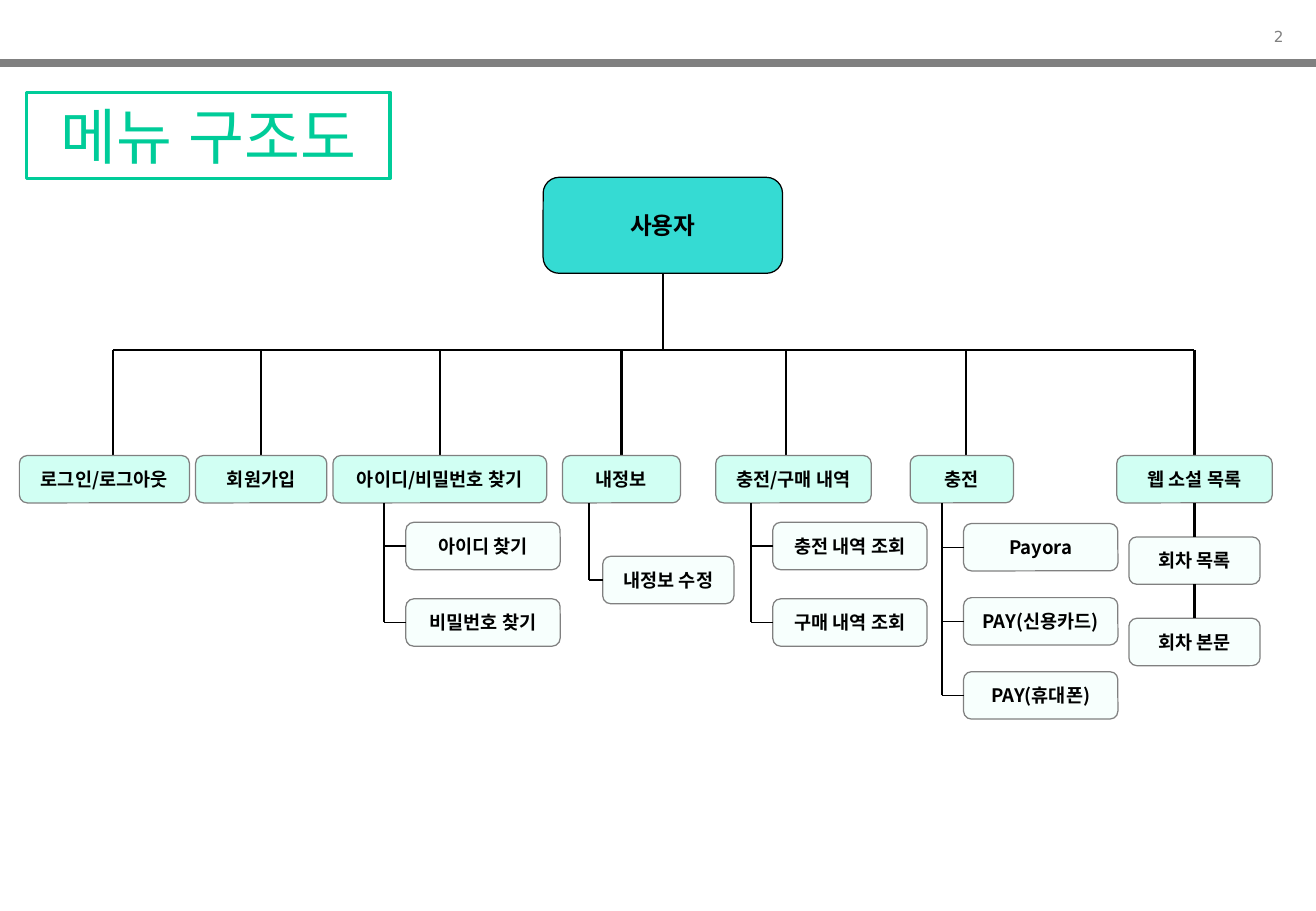
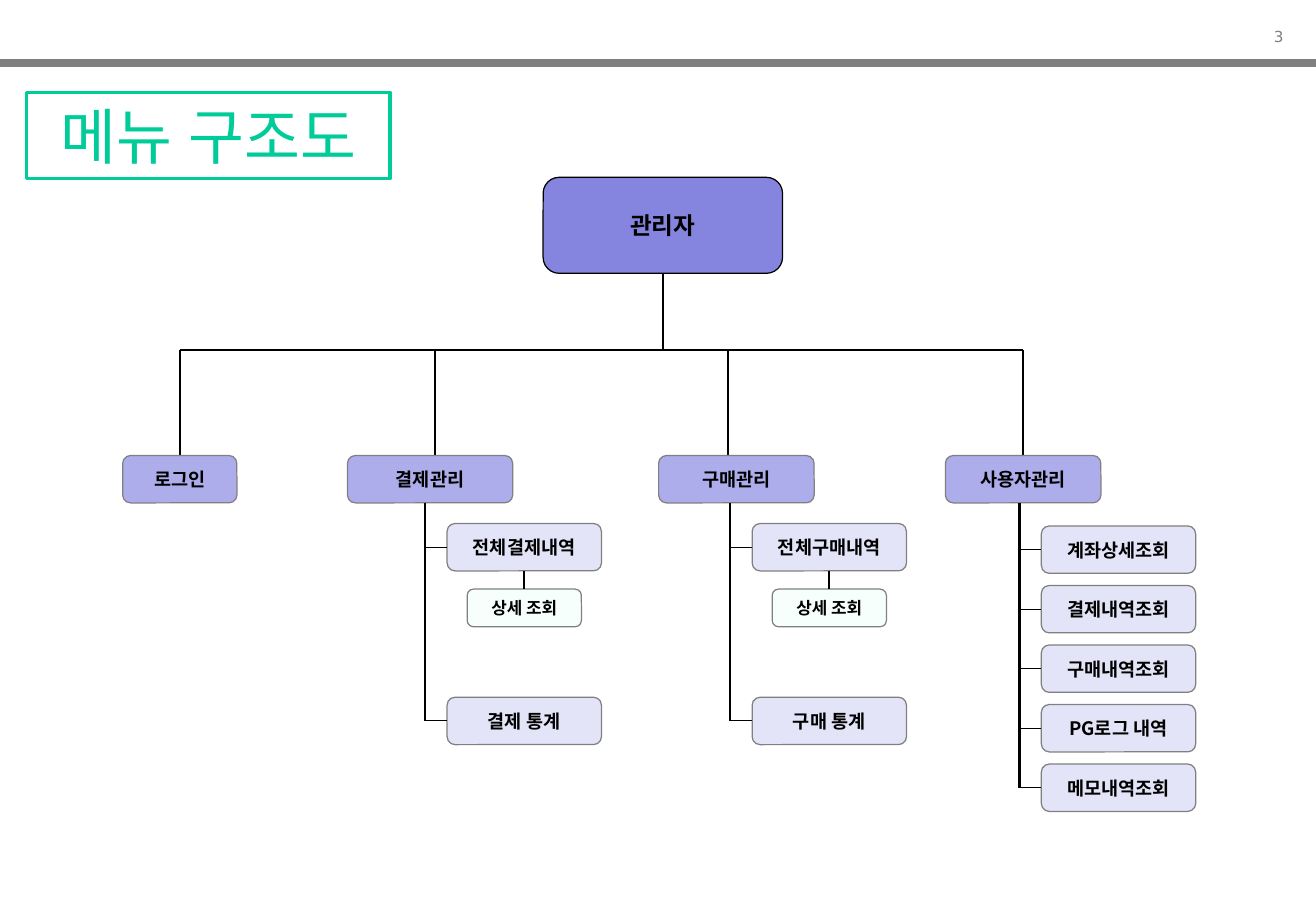
from dataclasses import dataclass
from typing import Optional

from lxml.etree import SubElement
from pptx import Presentation
from pptx.dml.color import RGBColor
from pptx.enum.shapes import MSO_CONNECTOR, MSO_SHAPE
from pptx.enum.text import MSO_ANCHOR, PP_ALIGN
from pptx.oxml.ns import qn
from pptx.shapes.autoshape import Shape
from pptx.shapes.connector import Connector
from pptx.slide import Slide
from pptx.text.text import TextFrame
from pptx.util import Inches, Pt


@dataclass(frozen=True)
class TextStyle:
    size: float
    font: str
    color: str
    bold: bool = False


@dataclass(frozen=True)
class Theme:
    ink: str = "000000"
    gray: str = "808080"
    paper: str = "FFFFFF"
    accent: str = "00CC99"
    mint: str = "F7FFFD"
    thin: float = 0.75
    medium: float = 1.25
    title_border: float = 2
    band: float = 4.5
    title: TextStyle = TextStyle(36, "Arial", "00CC99")
    page: TextStyle = TextStyle(9, "DejaVu Sans", "808080")
    root: TextStyle = TextStyle(14, "Noto Sans CJK KR", "000000", True)
    menu: TextStyle = TextStyle(11, "Noto Sans CJK KR", "000000", True)
    detail: TextStyle = TextStyle(10, "Noto Sans CJK KR", "000000", True)


THEME = Theme()
SLIDE_WIDTH, SLIDE_HEIGHT = 10.83, 7.5
BAND_Y = 0.52
ROOT_LEFT, ROOT_TOP, ROOT_WIDTH, ROOT_HEIGHT = 4.47, 1.46, 1.97, 0.79
BUS_Y, MENU_TOP, MENU_HEIGHT = 2.88, 3.75, 0.39
DETAIL_WIDTH, DETAIL_HEIGHT, DETAIL_GAP = 0.94, 0.31, 0.15
TOP, LEFT, BOTTOM = 0, 1, 2


@dataclass(frozen=True)
class Item:
    label: str
    detail: str = ""


@dataclass(frozen=True)
class Branch:
    """Without a trunk the items hang in one column below the branch."""
    label: str
    left: float
    width: float
    items: tuple[Item, ...] = ()
    first_top: float = 0
    pitch: float = 0
    item_width: float = 1.27
    trunk: Optional[float] = None
    indent: float = 0.18
    tick_weight: float = THEME.thin
    drop: Optional[float] = None  # x of the line from the bus, if off centre

    @property
    def center(self) -> float:
        return self.left + self.width / 2

    @property
    def drop_x(self) -> float:
        return self.center if self.drop is None else self.drop


@dataclass(frozen=True)
class MenuTree:
    page: int
    root: str
    root_fill: str
    branch_fill: str
    item_fill: str
    branches: tuple[Branch, ...]


MENU_TREES = (
    MenuTree(2, "사용자", "35DBD3", "D1FFF3", THEME.mint, (
        Branch("로그인/로그아웃", 0.16, 1.4, drop=0.93),
        Branch("회원가입", 1.61, 1.08),
        Branch("아이디/비밀번호 찾기", 2.74, 1.76,
               (Item("아이디 찾기"), Item("비밀번호 찾기")), 4.3, 0.63, trunk=3.16),
        Branch("내정보", 4.63, 0.97, (Item("내정보 수정"),), 4.58, item_width=1.08,
               trunk=4.85, indent=0.11, tick_weight=THEME.medium),
        Branch("충전/구매 내역", 5.89, 1.28,
               (Item("충전 내역 조회"), Item("구매 내역 조회")), 4.3, 0.63,
               trunk=6.18, drop=6.47),
        Branch("충전", 7.49, 0.85,
               (Item("Payora"), Item("PAY(신용카드)"), Item("PAY(휴대폰)")),
               4.31, 0.61, trunk=7.75, drop=7.95),
        Branch("웹 소설 목록", 9.19, 1.28,
               (Item("회차 목록"), Item("회차 본문")), 4.42, 0.67, item_width=1.08),
    )),
    MenuTree(3, "관리자", "8585E0", "ADADEB", "E4E4F8", (
        Branch("로그인", 1.01, 0.94),
        Branch("결제관리", 2.86, 1.36,
               (Item("전체결제내역", "상세 조회"), Item("결제 통계")), 4.31, 1.43,
               trunk=3.5, drop=3.58),
        Branch("구매관리", 5.42, 1.28,
               (Item("전체구매내역", "상세 조회"), Item("구매 통계")), 4.31, 1.43,
               trunk=6.01, drop=5.99),
        Branch("사용자관리", 7.78, 1.28,
               (Item("계좌상세조회"), Item("결제내역조회"), Item("구매내역조회"),
                Item("PG로그 내역"), Item("메모내역조회")), 4.33, 0.49, trunk=8.39),
    )),
)


def write(frame: TextFrame, text: str, style: TextStyle, align: PP_ALIGN) -> None:
    frame.word_wrap = True
    paragraph = frame.paragraphs[0]
    paragraph.alignment = align
    run = paragraph.add_run()
    run.text = text
    run.font.size = Pt(style.size)
    run.font.bold = style.bold
    run.font.color.rgb = RGBColor.from_string(style.color)
    run.font.name = style.font
    SubElement(run.font._element, qn("a:ea")).set("typeface", style.font)


def add_box(slide: Slide, text: str, left: float, top: float, width: float,
            height: float, fill: str, style: TextStyle = THEME.menu,
            border: str = THEME.gray, weight: float = THEME.thin,
            kind: MSO_SHAPE = MSO_SHAPE.ROUNDED_RECTANGLE) -> Shape:
    box = slide.shapes.add_shape(
        kind, Inches(left), Inches(top), Inches(width), Inches(height))
    box.shadow.inherit = False
    box.fill.solid()
    box.fill.fore_color.rgb = RGBColor.from_string(fill)
    box.line.color.rgb = RGBColor.from_string(border)
    box.line.width = Pt(weight)
    box.text_frame.vertical_anchor = MSO_ANCHOR.MIDDLE
    write(box.text_frame, text, style, PP_ALIGN.CENTER)
    return box


def add_line(slide: Slide, x1: float, y1: float, x2: float, y2: float,
             weight: float = THEME.medium, color: str = THEME.ink) -> Connector:
    line = slide.shapes.add_connector(
        MSO_CONNECTOR.STRAIGHT, Inches(x1), Inches(y1), Inches(x2), Inches(y2))
    line.line.width = Pt(weight)
    line.line.color.rgb = RGBColor.from_string(color)
    SubElement(line._element.spPr, qn("a:effectLst"))
    return line


def join_below(slide: Slide, upper: Shape, lower: Shape) -> None:
    line = add_line(slide, 0, 0, 0, 0)
    line.begin_connect(upper, BOTTOM)
    line.end_connect(lower, TOP)


def add_frame(slide: Slide, page: int) -> None:
    """Draw the page number, the band and the title."""
    number = slide.shapes.add_textbox(
        Inches(10.14), Inches(0.13), Inches(0.52), Inches(0.3))
    write(number.text_frame, str(page), THEME.page, PP_ALIGN.RIGHT)
    number.text_frame.paragraphs[0].line_spacing = 1.3
    add_line(slide, 0, BAND_Y, SLIDE_WIDTH, BAND_Y, THEME.band, THEME.gray)
    add_box(slide, "메뉴 구조도", 0.22, 0.76, 2.99, 0.71, THEME.paper, THEME.title,
            THEME.accent, THEME.title_border, MSO_SHAPE.RECTANGLE)


def add_items(slide: Slide, branch: Branch, branch_box: Shape, fill: str) -> None:
    if branch.trunk is None:
        left = branch.center - branch.item_width / 2
    else:
        left = branch.trunk + branch.indent
        last_top = branch.first_top + branch.pitch * (len(branch.items) - 1)
        add_line(slide, branch.trunk, MENU_TOP + MENU_HEIGHT,
                 branch.trunk, last_top + MENU_HEIGHT / 2)
    above = branch_box
    for index, item in enumerate(branch.items):
        top = branch.first_top + index * branch.pitch
        item_box = add_box(slide, item.label, left, top, branch.item_width,
                           MENU_HEIGHT, fill)
        if branch.trunk is None:
            join_below(slide, above, item_box)
            above = item_box
        else:
            middle = top + MENU_HEIGHT / 2
            tick = add_line(slide, branch.trunk, middle, left, middle,
                            branch.tick_weight)
            tick.end_connect(item_box, LEFT)
        if item.detail:
            detail_box = add_box(
                slide, item.detail, left + (branch.item_width - DETAIL_WIDTH) / 2,
                top + MENU_HEIGHT + DETAIL_GAP, DETAIL_WIDTH, DETAIL_HEIGHT,
                THEME.mint, THEME.detail)
            join_below(slide, item_box, detail_box)


def add_tree(slide: Slide, tree: MenuTree) -> None:
    root_box = add_box(slide, tree.root, ROOT_LEFT, ROOT_TOP, ROOT_WIDTH,
                       ROOT_HEIGHT, tree.root_fill, THEME.root, THEME.ink)
    root_x = ROOT_LEFT + ROOT_WIDTH / 2
    stem = add_line(slide, root_x, ROOT_TOP + ROOT_HEIGHT, root_x, BUS_Y)
    stem.begin_connect(root_box, BOTTOM)
    add_line(slide, tree.branches[0].drop_x, BUS_Y, tree.branches[-1].drop_x, BUS_Y)
    for branch in tree.branches:
        drop = add_line(slide, branch.drop_x, BUS_Y, branch.drop_x, MENU_TOP)
        branch_box = add_box(slide, branch.label, branch.left, MENU_TOP,
                             branch.width, MENU_HEIGHT, tree.branch_fill)
        if branch.drop is None:
            drop.end_connect(branch_box, TOP)
        if branch.items:
            add_items(slide, branch, branch_box, tree.item_fill)


def main() -> None:
    deck = Presentation()
    deck.slide_width, deck.slide_height = Inches(SLIDE_WIDTH), Inches(SLIDE_HEIGHT)
    blank = deck.slide_layouts[6]
    for tree in MENU_TREES:
        slide = deck.slides.add_slide(blank)
        add_frame(slide, tree.page)
        add_tree(slide, tree)
    deck.save("out.pptx")


if __name__ == "__main__":
    main()
